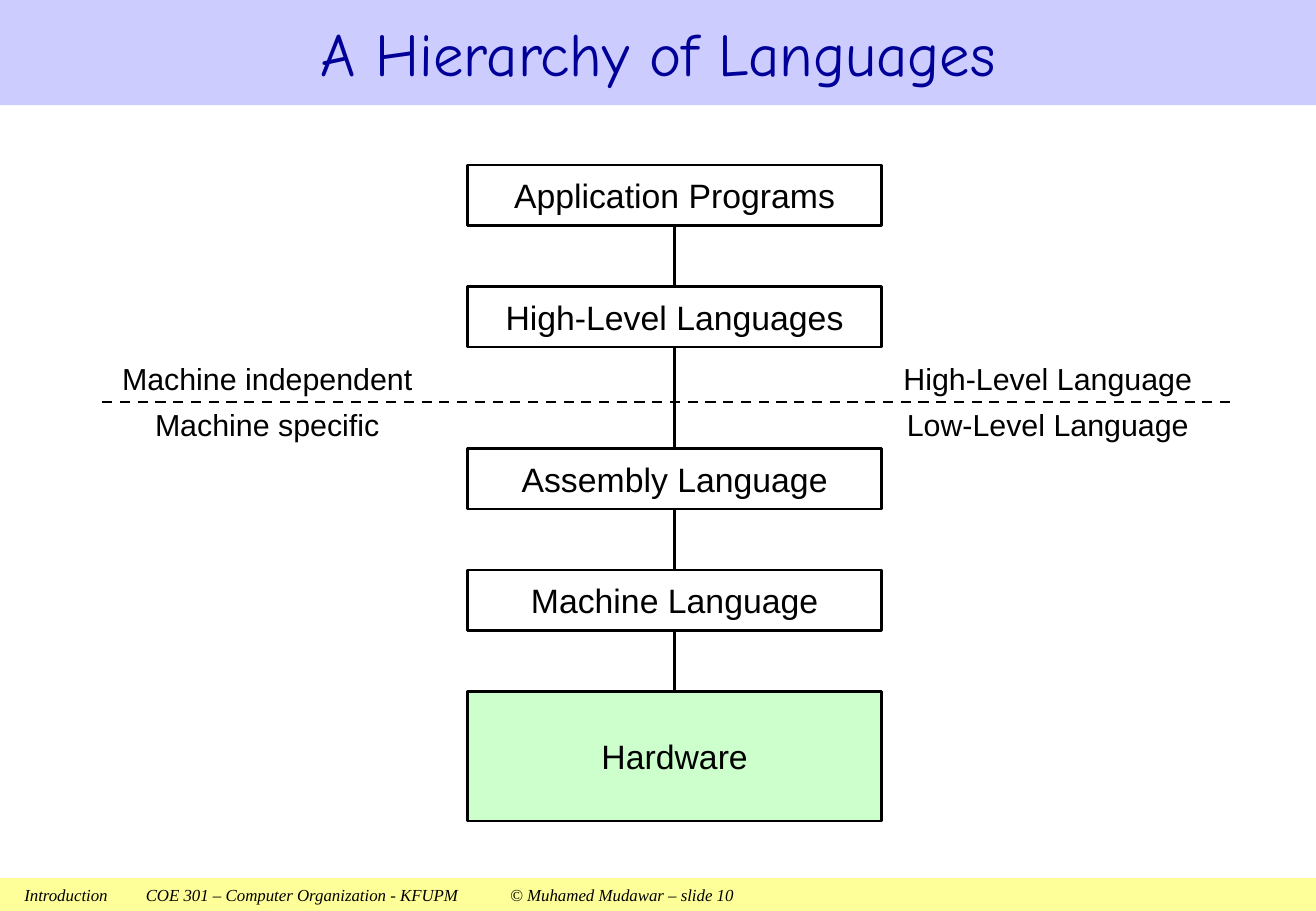
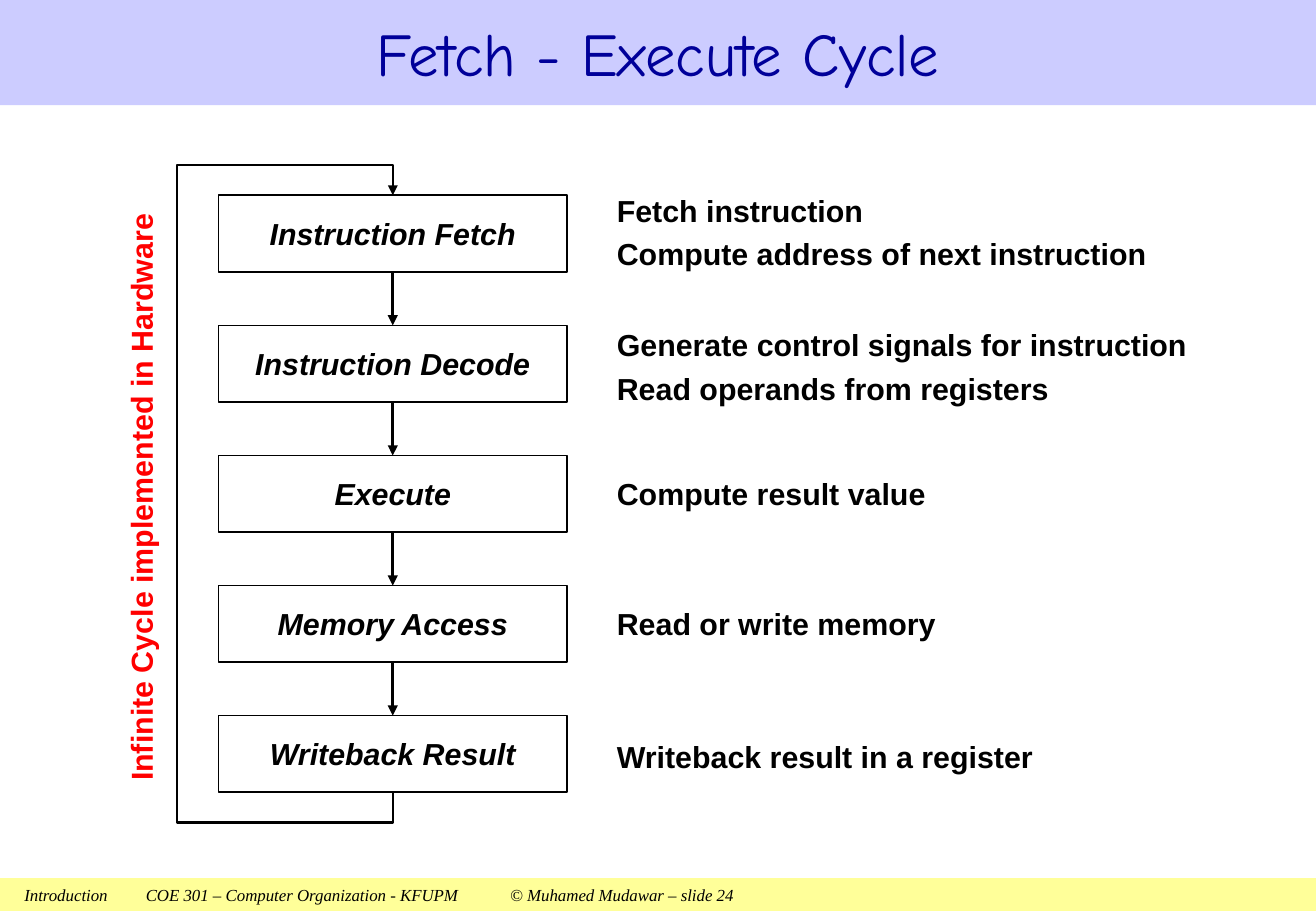
from dataclasses import dataclass

from lxml import etree
from pptx import Presentation
from pptx import util as u
from pptx.dml.color import RGBColor
from pptx.enum import dml, shapes, text
from pptx.oxml.ns import qn

# Grid of 130 columns by 90 rows, cells of 6 points
COLUMNS, ROWS = 130, 90
CELL = u.Pt(6)

BLACK = RGBColor(0x00, 0x00, 0x00)
WHITE = RGBColor(0xFF, 0xFF, 0xFF)
RED = RGBColor(0xFF, 0x00, 0x00)
NAVY = RGBColor(0x00, 0x00, 0x99)
LAVENDER = RGBColor(0xCC, 0xCC, 0xFF)
YELLOW = RGBColor(0xFF, 0xFF, 0x99)
GREEN = RGBColor(0xCC, 0xFF, 0xCC)

LEFT, CENTER = text.PP_ALIGN.LEFT, text.PP_ALIGN.CENTER
TOP, MIDDLE = text.MSO_ANCHOR.TOP, text.MSO_ANCHOR.MIDDLE


@dataclass(frozen=True)
class Area:
    """Position and size in grid cells."""
    x: float
    y: float
    w: float
    h: float

    @property
    def center_x(self) -> float:
        return self.x + self.w / 2

    @property
    def bottom(self) -> float:
        return self.y + self.h

    def lengths(self) -> list[int]:
        return [cells(v) for v in (self.x, self.y, self.w, self.h)]


@dataclass(frozen=True)
class TextStyle:
    font: dict
    color: RGBColor = BLACK
    align: text.PP_ALIGN = CENTER
    anchor: text.MSO_ANCHOR = MIDDLE
    pad_x: float = 0
    pad_y: float = 0


@dataclass(frozen=True)
class Level:
    name: str
    gap: float
    height: float = 6
    fill: RGBColor = WHITE


@dataclass(frozen=True)
class Stage:
    name: str
    note_top: float
    notes: tuple[str, ...]


ARIAL_18 = {"name": "Arial", "size": u.Pt(18)}
TITLE = TextStyle({"name": "Comic Neue", "size": u.Pt(36)}, NAVY)
FOOTER = TextStyle({"name": "Times New Roman", "size": u.Pt(10), "italic": True},
                   align=LEFT, pad_x=2.4)
LEVEL = TextStyle({"name": "Arial", "size": u.Pt(20)})
SIDE_LABEL = TextStyle(ARIAL_18)
STAGE = TextStyle(ARIAL_18 | {"bold": True, "italic": True})
NOTE = TextStyle(ARIAL_18 | {"bold": True}, align=LEFT, anchor=TOP,
                 pad_x=0.84, pad_y=0.36)
CYCLE_LABEL = TextStyle(ARIAL_18 | {"bold": True}, RED)

LEVELS = (
    Level("Application Programs", 0),
    Level("High-Level Languages", 6),
    Level("Assembly Language", 10),
    Level("Machine Language", 6),
    Level("Hardware", 6, 12.8, GREEN),
)
SIDES = (
    (9.2, ("Machine independent", "Machine specific")),
    (86.3, ("High-Level Language", "Low-Level Language")),
)
STAGES = (
    Stage("Instruction Fetch", 18.6,
          ("Fetch instruction", "Compute address of next instruction")),
    Stage("Instruction Decode", 31.9,
          ("Generate control signals for instruction", "Read operands from registers")),
    Stage("Execute", 46.6, ("Compute result value",)),
    Stage("Memory Access", 59.4, ("Read or write memory",)),
    Stage("Writeback Result", 72.6, ("Writeback result in a register",)),
)


def cells(count: float) -> int:
    return round(count * CELL)


def write(shape, lines: tuple[str, ...], style: TextStyle) -> None:
    frame = shape.text_frame
    settings = {
        "word_wrap": True, "vertical_anchor": style.anchor,
        "margin_left": cells(style.pad_x), "margin_right": cells(style.pad_x),
        "margin_top": cells(style.pad_y), "margin_bottom": cells(style.pad_y),
    }
    for key, value in settings.items():
        setattr(frame, key, value)
    for i, line in enumerate(lines):
        paragraph = frame.add_paragraph() if i else frame.paragraphs[0]
        paragraph.alignment = style.align
        if i:
            paragraph.space_before = u.Pt(4)
        run = paragraph.add_run()
        run.text = line
        for key, value in style.font.items():
            setattr(run.font, key, value)
        run.font.color.rgb = style.color


def add_text(slide, area: Area, style: TextStyle, *lines: str):
    label = slide.shapes.add_textbox(*area.lengths())
    write(label, lines, style)
    return label


def stroke(line, width: float, arrow: bool = False) -> None:
    line.color.rgb = BLACK
    line.width = u.Pt(width)
    if arrow:
        etree.SubElement(line._get_or_add_ln(), qn("a:tailEnd"), type="triangle")


def add_box(slide, area: Area, style: TextStyle, caption: str,
            fill: RGBColor | None = None, border: float = 0):
    box = slide.shapes.add_shape(shapes.MSO_SHAPE.RECTANGLE, *area.lengths())
    box.shadow.inherit = False
    if fill is None:
        box.fill.background()
    else:
        box.fill.solid()
        box.fill.fore_color.rgb = fill
    if border:
        stroke(box.line, border)
    else:
        box.line.fill.background()
    write(box, (caption,), style)
    return box


def add_line(slide, x1: float, y1: float, x2: float, y2: float,
             width: float = 1.5, arrow: bool = False):
    line = slide.shapes.add_connector(
        shapes.MSO_CONNECTOR.STRAIGHT, *(cells(v) for v in (x1, y1, x2, y2)))
    stroke(line.line, width, arrow)
    etree.SubElement(line._element.spPr, qn("a:effectLst"))
    return line


def add_page(deck, title: str, number: int):
    """Add a slide with the title band and the footer band."""
    slide = deck.slides.add_slide(deck.slide_layouts[6])
    add_box(slide, Area(0, 86.75, COLUMNS, 3.25), FOOTER,
            "Introduction\tCOE 301 – Computer Organization - KFUPM"
            f"\t© Muhamed Mudawar – slide {number}", YELLOW)
    add_box(slide, Area(0, 0, COLUMNS, 10.4), TITLE, title, LAVENDER)
    return slide


def build_hierarchy(deck) -> None:
    slide = add_page(deck, "A Hierarchy of Languages", 10)
    left, width, top = 46.2, 40.9, 16.3
    middle = left + width / 2
    spine = add_line(slide, middle, top + 1, middle, 68.3)
    for level in LEVELS:
        top += level.gap
        box = add_box(slide, Area(left, top, width, level.height), LEVEL,
                      level.name, level.fill, 1.5)
        top += level.height
    spine.end_connect(box, 0)

    border = add_line(slide, 10.1, 39.7, 121.6, 39.7)
    border.line.dash_style = dml.MSO_LINE.DASH
    for x, names in SIDES:
        for y, name in zip((35.9, 40.4), names):
            add_text(slide, Area(x, y, 34.4, 3), SIDE_LABEL, name)


def build_cycle(deck) -> None:
    slide = add_page(deck, "Fetch - Execute Cycle", 24)
    areas = [Area(21.6, 19.3 + 12.85 * i, 34.4, 7.55) for i in range(len(STAGES))]
    boxes = []
    for stage, area in zip(STAGES, areas):
        boxes.append(add_box(slide, area, STAGE, stage.name, border=1))
        height = 4.2 if len(stage.notes) == 1 else 8.6
        add_text(slide, Area(60.1, stage.note_top, 63.8, height), NOTE, *stage.notes)

    for i in range(len(boxes) - 1):
        upper, lower = areas[i:i + 2]
        arrow = add_line(slide, upper.center_x, upper.bottom,
                         lower.center_x, lower.y, 2, arrow=True)
        arrow.begin_connect(boxes[i], 2)
        arrow.end_connect(boxes[i + 1], 0)

    add_return_path(slide, areas[0], areas[-1])
    label = add_text(slide, Area(-17.5, 47.05, 62.8, 4.2), CYCLE_LABEL,
                     "Infinite Cycle implemented in Hardware")
    label.rotation = 270


def add_return_path(slide, first: Area, last: Area) -> None:
    """Lead from below the last stage round the left side to the first."""
    x, outer, reach = first.center_x, 17.5, 3
    points = [(x, last.bottom), (x, last.bottom + reach), (outer, last.bottom + reach),
              (outer, first.y - reach), (x, first.y - reach), (x, first.y)]
    start, *corners = [(cells(a), cells(b)) for a, b in points]
    builder = slide.shapes.build_freeform(*start)
    builder.add_line_segments(corners, close=False)
    route = builder.convert_to_shape()
    route.shadow.inherit = False
    route.fill.background()
    stroke(route.line, 1.5, arrow=True)


def main() -> None:
    deck = Presentation()
    deck.slide_width, deck.slide_height = cells(COLUMNS), cells(ROWS)
    build_hierarchy(deck)
    build_cycle(deck)
    deck.save("out.pptx")


if __name__ == "__main__":
    main()
